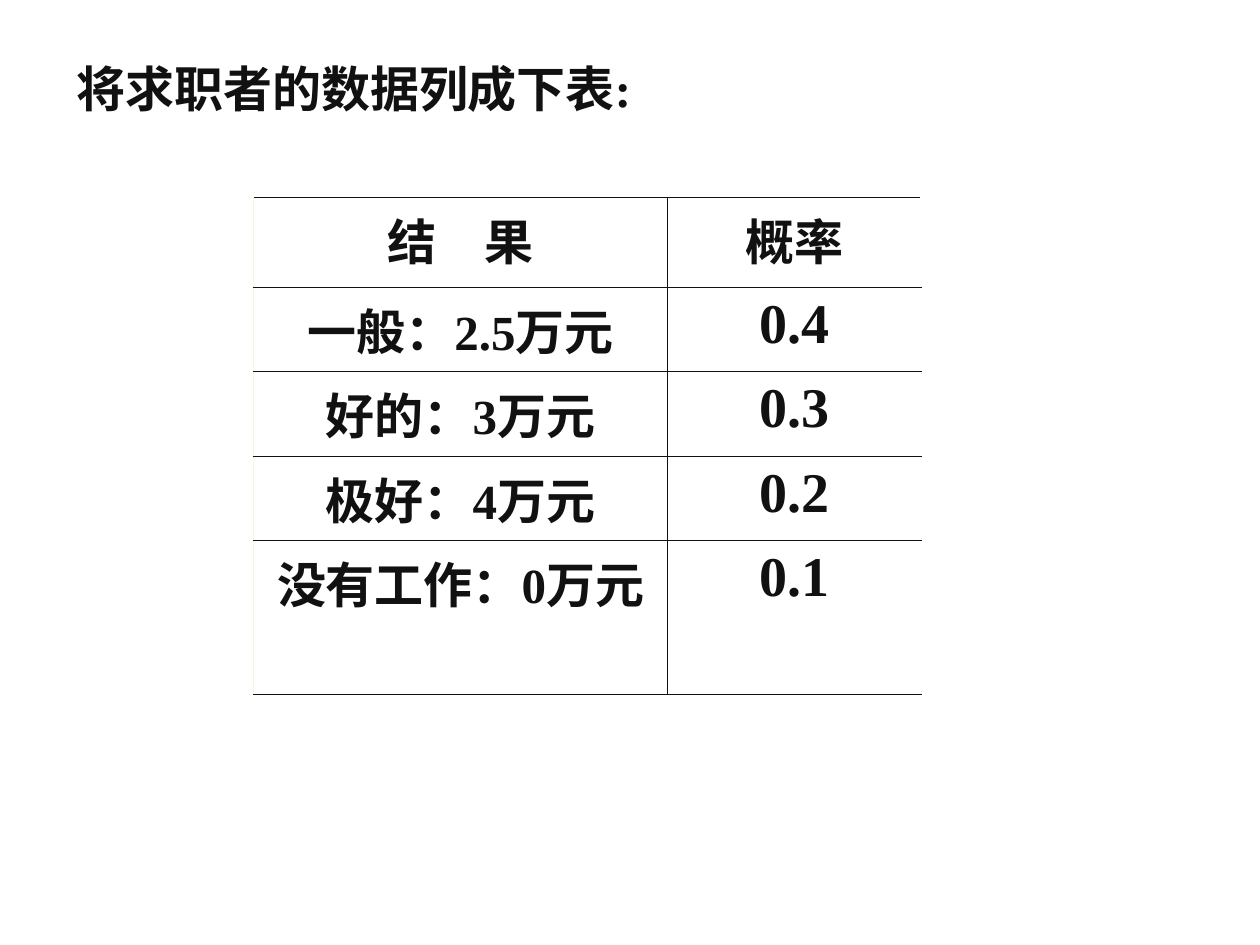
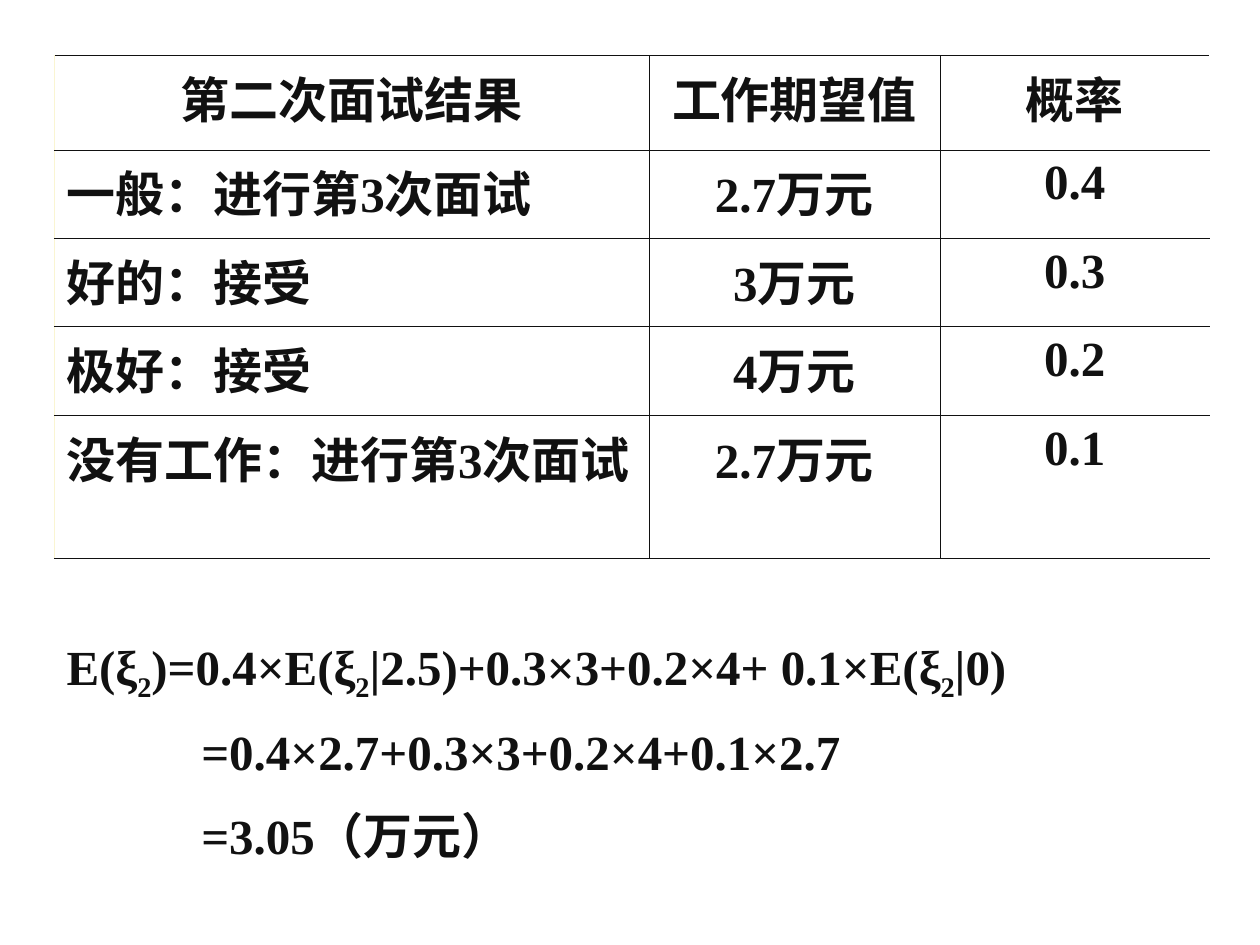
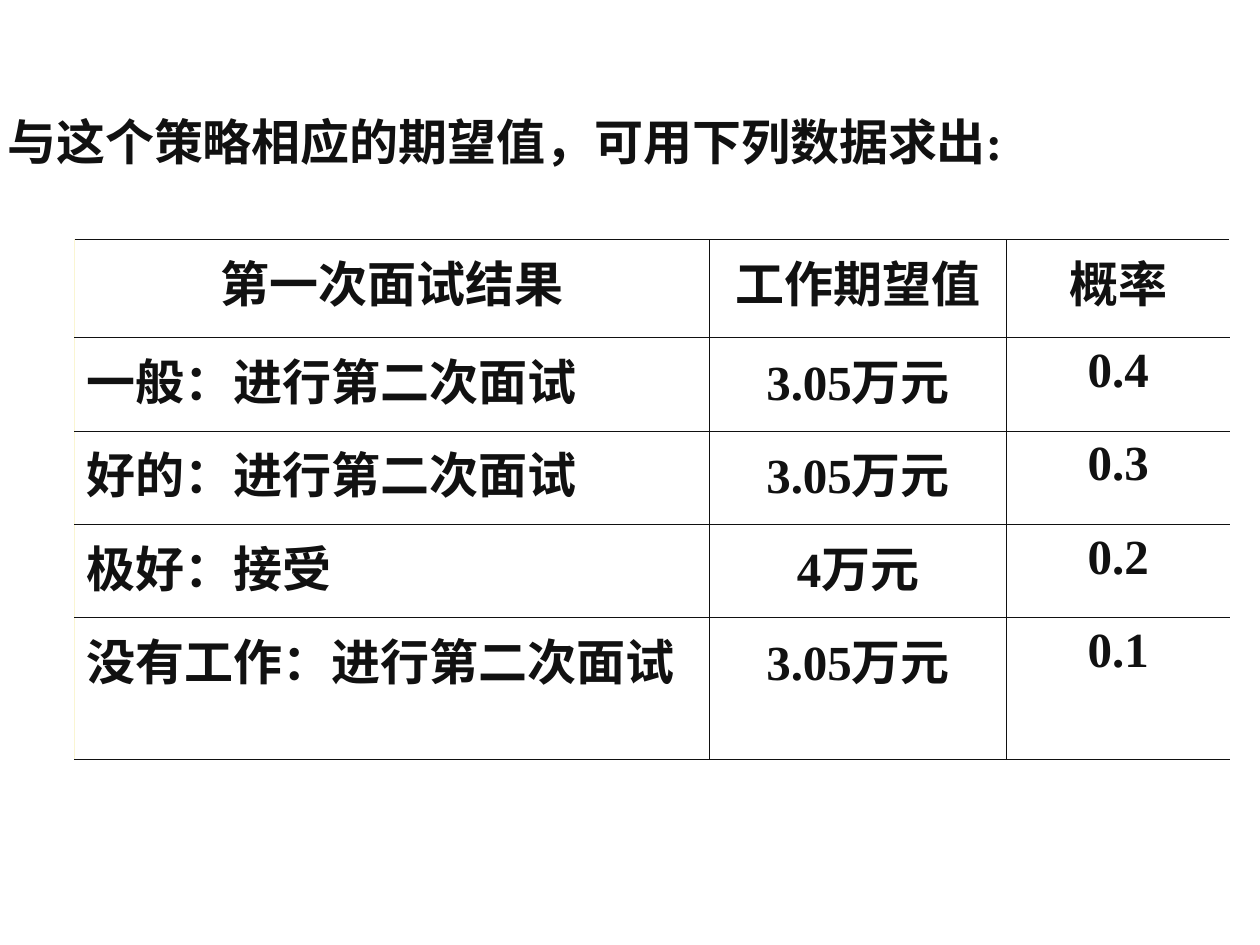
from itertools import product

from pptx import Presentation
from pptx import util as u
from pptx.dml.color import RGBColor
from pptx.enum import text
from pptx.oxml import parse_xml
from pptx.oxml.ns import nsdecls

COLORS = {"ink": "111111", "edge": "FAF5D2"}
HEADER_FONT, BODY_FONT = "Arial", "Times New Roman"
TEXT_SIZE = 28
BORDER_WIDTH = u.Pt(0.45)
OUTCOMES = ["一般", "好的", "极好", "没有工作"]
PROBABILITIES = ["0.4", "0.3", "0.2", "0.1"]


def add_run(paragraph, words, name=BODY_FONT, size=TEXT_SIZE):
    run = paragraph.add_run()
    run.text = words
    for attribute, value in {"name": name, "size": u.Pt(size), "bold": True}.items():
        setattr(run.font, attribute, value)
    run.font.color.rgb = RGBColor.from_string(COLORS["ink"])
    return run


def add_text_box(slide, box, wrap=True):
    frame = slide.shapes.add_textbox(*map(u.Inches, box)).text_frame
    frame.word_wrap = wrap
    frame.auto_size = text.MSO_AUTO_SIZE.SHAPE_TO_FIT_TEXT
    return frame


def add_heading(slide, box, words, line_spacing, wrap=True):
    paragraph = add_text_box(slide, box, wrap).paragraphs[0]
    paragraph.line_spacing = line_spacing
    add_run(paragraph, words)


def set_border(cell, side, color):
    cell._tc.get_or_add_tcPr().append(parse_xml(
        f'<a:{side} {nsdecls("a")} w="{BORDER_WIDTH}"><a:solidFill>'
        f'<a:srgbClr val="{color}"/></a:solidFill></a:{side}>'))


def add_outcome_table(slide, box, widths, heights, headers, results,
                      first_align=text.PP_ALIGN.LEFT, probability_size=TEXT_SIZE):
    """Table of outcomes, open on the right; its last column holds the probabilities."""
    rows = [headers] + [[*result, chance] for result, chance in zip(results, PROBABILITIES)]
    table = slide.shapes.add_table(len(rows), len(headers), *map(u.Inches, box)).table
    table.first_row = table.horz_banding = False
    for column, width in zip(table.columns, widths):
        column.width = u.Inches(width)
    for row, height in zip(table.rows, heights):
        row.height = u.Inches(height)

    last = len(headers) - 1
    for i, j in product(range(len(rows)), range(len(headers))):
        cell = table.cell(i, j)
        paragraph = cell.text_frame.paragraphs[0]
        paragraph.alignment = first_align if i and j == 0 else text.PP_ALIGN.CENTER
        add_run(paragraph, rows[i][j], BODY_FONT if i else HEADER_FONT,
                probability_size if i and j == last else TEXT_SIZE)
        set_border(cell, "lnL", COLORS["ink" if j else "edge"])
        if j < last:
            set_border(cell, "lnR", COLORS["ink"])
        for side in ("lnT", "lnB"):
            set_border(cell, side, COLORS["ink"])
        cell.fill.background()


def add_equation(slide, box, first_line, next_lines, indent):
    """First line alternates plain text and subscripts; next lines align at the indent."""
    frame = add_text_box(slide, box)
    paragraph = frame.paragraphs[0]
    paragraph.line_spacing = 0.9
    for position, words in enumerate(first_line):
        run = add_run(paragraph, words)
        if position % 2:
            run.font._element.set("baseline", "-25000")
    for line in next_lines:
        paragraph = frame.add_paragraph()
        paragraph._p.get_or_add_pPr().set("marL", str(u.Inches(indent)))
        paragraph.line_spacing = 0.9
        paragraph.space_before = u.Pt(17.5)
        add_run(paragraph, line)


def build_job_data(slide):
    salaries = ["2.5", "3", "4", "0"]
    add_outcome_table(
        slide, (2.01, 1.57, 5.3, 3.75), [3.29, 2.01], [0.71, 0.67, 0.67, 0.67, 1.04],
        ["结　果", "概率"],
        [[f"{outcome}：{salary}万元"] for outcome, salary in zip(OUTCOMES, salaries)],
        first_align=text.PP_ALIGN.CENTER, probability_size=32)
    add_heading(slide, (0.51, 0.47, 6.77, 0.52), "将求职者的数据列成下表:", 0.9)


def interview_results(actions, values):
    return [[f"{outcome}：{action}", f"{value}万元"]
            for outcome, action, value in zip(OUTCOMES, actions, values)]


def build_second_interview(slide):
    go_on = "进行第3次面试"
    add_outcome_table(
        slide, (0.43, 0.44, 9.18, 3.99), [4.72, 2.31, 2.14], [0.75, 0.7, 0.7, 0.71, 1.13],
        ["第二次面试结果", "工作期望值", "概率"],
        interview_results([go_on, "接受", "接受", go_on], ["2.7", "3", "4", "2.7"]))
    add_equation(
        slide, (0.43, 5.01, 9.17, 1.91),
        ["E(ξ", "2", ")=0.4×E(ξ", "2", "|2.5)+0.3×3+0.2×4+ 0.1×E(ξ", "2", "|0)"],
        ["=0.4×2.7+0.3×3+0.2×4+0.1×2.7", "=3.05（万元）"], indent=1.07)


def build_first_interview(slide):
    go_on = "进行第二次面试"
    add_outcome_table(
        slide, (0.59, 1.9, 9.18, 4.14), [5.04, 2.36, 1.77], [0.78, 0.74, 0.74, 0.74, 1.13],
        ["第一次面试结果", "工作期望值", "概率"],
        interview_results([go_on, go_on, "接受", go_on], ["3.05", "3.05", "4", "3.05"]))
    add_heading(slide, (-0.04, 0.6, 9.03, 0.8),
                "与这个策略相应的期望值，可用下列数据求出:", 1.5, wrap=False)


def main():
    presentation = Presentation()
    presentation.slide_width, presentation.slide_height = u.Inches(10), u.Inches(7.5)
    for build in (build_job_data, build_second_interview, build_first_interview):
        build(presentation.slides.add_slide(presentation.slide_layouts[6]))
    presentation.save("out.pptx")


if __name__ == "__main__":
    main()
